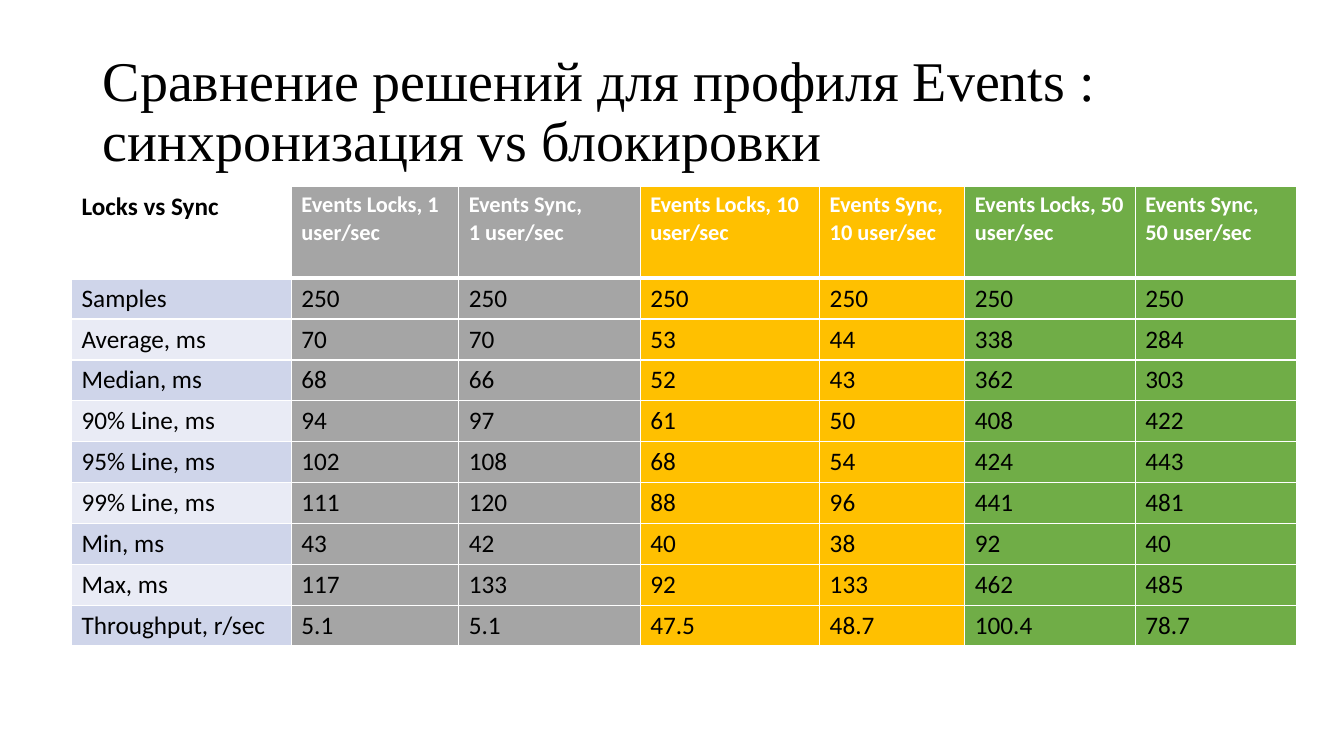
"""Build a slide with a table that compares locks and synchronization for the Events profile."""
from lxml import etree
from pptx import Presentation
from pptx import util as u
from pptx.dml.color import RGBColor
from pptx.enum import text
from pptx.oxml import ns

COLORS = {"black": "000000", "white": "FFFFFF", "gray": "A5A5A5", "gold": "FFC000",
          "green": "70AD47", "band1": "CFD5EA", "band2": "E9EBF5"}
GROUPS = ["gray", "gray", "gold", "gold", "green", "green"]
COLS = [2.18, 1.66, 1.8, 1.78, 1.44, 1.69, 1.6]
HEADER_H, TABLE_H = 0.91, 4.55
ROWS = [
    ["Locks vs Sync", "Events Locks, 1 user/sec", "Events Sync,\n1 user/sec",
     "Events Locks, 10 user/sec", "Events Sync,\n10 user/sec",
     "Events Locks, 50 user/sec", "Events Sync,\n50 user/sec"],
    ["Samples", "250", "250", "250", "250", "250", "250"],
    ["Average, ms", "70", "70", "53", "44", "338", "284"],
    ["Median, ms", "68", "66", "52", "43", "362", "303"],
    ["90% Line, ms", "94", "97", "61", "50", "408", "422"],
    ["95% Line, ms", "102", "108", "68", "54", "424", "443"],
    ["99% Line, ms", "111", "120", "88", "96", "441", "481"],
    ["Min, ms", "43", "42", "40", "38", "92", "40"],
    ["Max, ms", "117", "133", "92", "133", "462", "485"],
    ["Throughput, r/sec", "5.1", "5.1", "47.5", "48.7", "100.4", "78.7"],
]


def write(tf, content, size=18, font="Calibri", color="black", bold=False, spacing=1.0):
    """Fill a text frame, one paragraph per line of content."""
    tf.text = content
    for p in tf.paragraphs:
        p.alignment = text.PP_ALIGN.LEFT
        p.line_spacing = spacing
        for r in p.runs:
            r.font.size, r.font.name, r.font.bold = u.Pt(size), font, bold
            r.font.color.rgb = RGBColor.from_string(COLORS[color])


def border(cell, side, width):
    """Draw one white side of a table cell."""
    ln = etree.SubElement(cell._tc.get_or_add_tcPr(), ns.qn("a:ln" + side), w=str(u.Pt(width)))
    fill = etree.SubElement(ln, ns.qn("a:solidFill"))
    etree.SubElement(fill, ns.qn("a:srgbClr"), val=COLORS["white"])


prs = Presentation()
prs.slide_width, prs.slide_height = u.Inches(13.33), u.Inches(7.5)
s = prs.slides.add_slide(prs.slide_layouts[5])

title = s.shapes.title
title.left, title.top, title.width, title.height = map(u.Inches, (0.92, 0.4, 11.5, 1.45))
tf = title.text_frame
tf.word_wrap = True
tf.auto_size = text.MSO_AUTO_SIZE.NONE
tf.vertical_anchor = text.MSO_ANCHOR.MIDDLE
write(tf, "Сравнение решений для профиля Events : синхронизация vs блокировки",
      size=40, font="Times New Roman", spacing=0.9)

table = s.shapes.add_table(len(ROWS), len(COLS), u.Inches(0.71), u.Inches(1.85),
                           u.Inches(sum(COLS)), u.Inches(TABLE_H)).table
for col, width in zip(table.columns, COLS):
    col.width = u.Inches(width)
for i, values in enumerate(ROWS):
    table.rows[i].height = u.Inches((TABLE_H - HEADER_H) / (len(ROWS) - 1) if i else HEADER_H)
    label_fill = ("band1" if i % 2 else "band2") if i else "white"
    for j, (value, fill) in enumerate(zip(values, [label_fill] + GROUPS)):
        cell = table.cell(i, j)
        heading = i == 0 and j > 0
        write(cell.text_frame, value, size=16 if heading else 18,
              color="white" if heading else "black", bold=i == 0)
        for side, width in (("L", 1), ("R", 1), ("T", 3 if i == 1 else 1), ("B", 1 if i else 3)):
            border(cell, side, width)
        cell.fill.solid()
        cell.fill.fore_color.rgb = RGBColor.from_string(COLORS[fill])

prs.save("out.pptx")
